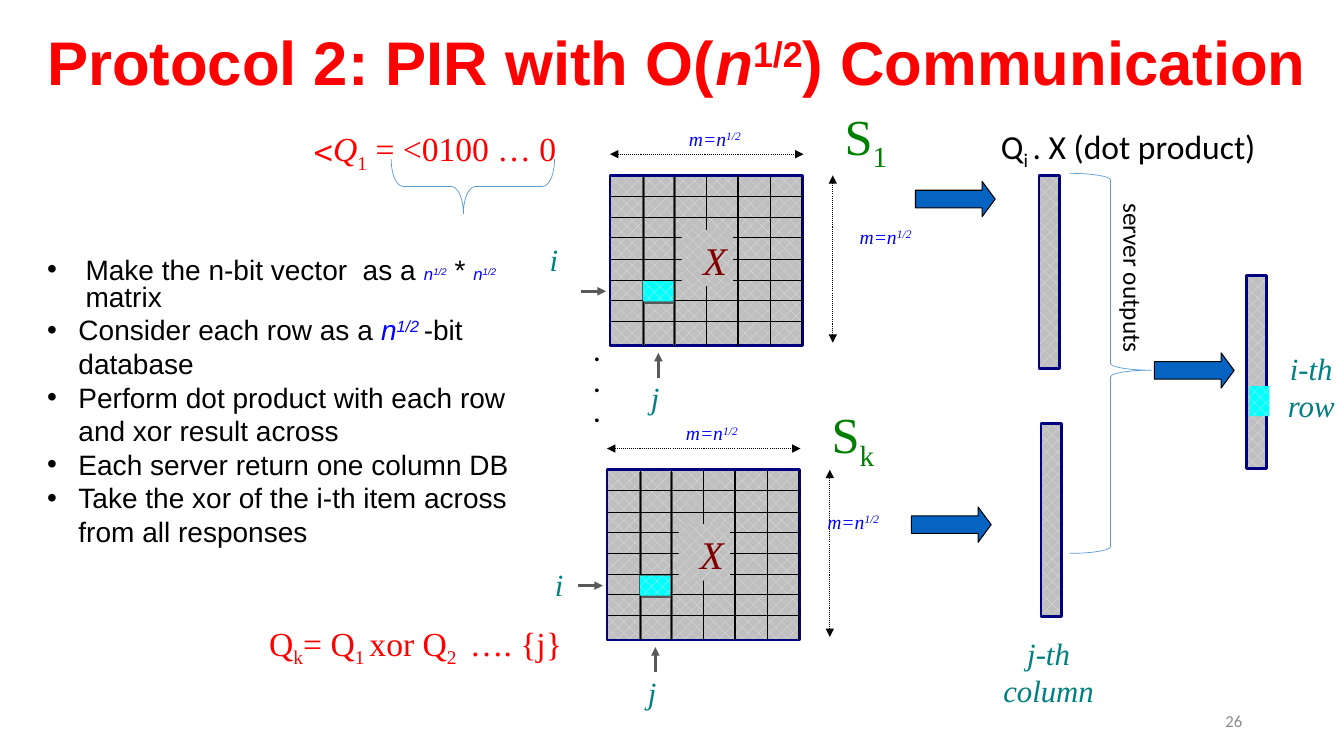
"""Build the slide on two-server PIR with square-root communication."""
import lxml.etree
import pptx
import pptx.dml.color
import pptx.enum.dml
import pptx.enum.shapes
import pptx.enum.text
import pptx.oxml.ns
import pptx.util

EMU_PER_PX = 9144
SHAPE = pptx.enum.shapes.MSO_SHAPE
ALIGN = {"l": pptx.enum.text.PP_ALIGN.LEFT, "c": pptx.enum.text.PP_ALIGN.CENTER,
         "r": pptx.enum.text.PP_ALIGN.RIGHT}
RED, GREEN, TEAL, MAROON, BLUE = "FF0000", "008000", "008080", "800000", "0000FF"
BLACK, NAVY, GREY, CYAN = "000000", "000080", "BFBFBF", "00FFFF"
SUP, SUB = {"base": 30}, {"base": -25}
SERIF = {"name": "Times New Roman", "inset": 6, "rtl": True}
INDEX = {**SERIF, "size": 22, "color": TEAL, "italic": True}
QUERY = {**SERIF, "size": 24, "color": RED}
SIDE = {**SERIF, "size": 14, "color": BLUE, "italic": True}
SERVER = {**SERIF, "size": 36, "color": GREEN, "align": "r"}

TITLE = ["Protocol 2: PIR with O(", ("n", {"italic": True}),
         ("1/2", {"italic": True, **SUP}), ") Communication"]
TITLE[2] = ("1/2", SUP)
ROOT = {"color": BLUE, "italic": True}
SMALL_ROOT = {**ROOT, "size": 12}
STEPS = [
    ["Make the n-bit vector  as a ", ("n", SMALL_ROOT), ("1/2", {**SMALL_ROOT, **SUP}), " * ",
     ("n", SMALL_ROOT), ("1/2", {**SMALL_ROOT, **SUP}), " matrix"],
    ["Consider each row as a ", ("n", ROOT), ("1/2 ", {**ROOT, **SUP}), "-bit database"],
    ["Perform dot product with each row and xor result across"],
    ["Each server return one column DB"],
    ["Take the xor of the i-th item across from all responses"],
]
SIDE_LENGTH = ["m=n", ("1/2", SUP)]
SERVERS = [
    {"name": "1", "offset": (0, 0), "name_at": (747, 98), "side_at": (819, 217),
     "row_at": (528, 233)},
    {"name": "k", "offset": (-3, 292), "name_at": (734, 394), "side_at": (787, 500),
     "row_at": (533, 555)},
]
FIRST_QUERY = [("Q", {"italic": True}), ("1", SUB), " = <0100 … 0>"]
LAST_QUERY = ["Q", ("k", SUB), "= Q", ("1 ", SUB), "xor Q", ("2 ", SUB), " …. {j}"]
DOT_PRODUCT = ["Q", ("i ", SUB), ". X (dot product)"]
OUTPUT_COLUMNS = [(945, 260), (947, 506), (1151, 359)]
FLOW_ARROWS = [(908, 180), (904, 503), (1145, 350)]

deck = pptx.Presentation()
deck.slide_width, deck.slide_height = (pptx.util.Emu(n * EMU_PER_PX) for n in (1333, 750))
slide = deck.slides.add_slide(deck.slide_layouts[6])


def px(*lengths):
    """Turn px lengths into EMU."""
    return [pptx.util.Emu(n * EMU_PER_PX) for n in lengths]


def rgb(color):
    """Turn a hex string into a colour."""
    return pptx.dml.color.RGBColor.from_string(color)


def sub(parent, tag, **attributes):
    """Append a DrawingML child element."""
    return lxml.etree.SubElement(parent, pptx.oxml.ns.qn(tag), **attributes)


def write(shape, paragraphs, name="Arial", size=20, color=BLACK, bold=False, italic=False,
          align="l", rtl=False, inset=None, wrap=True, grow=False, middle=False,
          spacing=None, indents=None):
    """Fill a shape with paragraphs of formatted runs."""
    frame = shape.text_frame
    frame.word_wrap = wrap
    anchor = pptx.enum.text.MSO_ANCHOR
    frame.vertical_anchor = anchor.MIDDLE if middle else anchor.TOP
    if grow:
        frame.auto_size = pptx.enum.text.MSO_AUTO_SIZE.SHAPE_TO_FIT_TEXT
    if inset is not None:
        (frame.margin_left, frame.margin_top,
         frame.margin_right, frame.margin_bottom) = px(*[inset] * 4)
    for number, runs in enumerate(paragraphs):
        paragraph = frame.add_paragraph() if number else frame.paragraphs[0]
        paragraph.alignment = ALIGN[align]
        if spacing and number == 0:
            paragraph.line_spacing = spacing
        properties = paragraph._p.get_or_add_pPr()
        if rtl:
            properties.set("rtl", "1")
        if indents:
            indent = indents[number] * EMU_PER_PX
            properties.set("marL", str(indent))
            properties.set("indent", str(-indent))
            sub(properties, "a:buFont", typeface="Arial")
            sub(properties, "a:buChar", char="•")
        for part in runs:
            words, changes = (part, {}) if isinstance(part, str) else part
            run = paragraph.add_run()
            run.text = words
            run.font.name = name
            run.font.size = pptx.util.Pt(changes.get("size", size))
            run.font.color.rgb = rgb(changes.get("color", color))
            run.font.bold = bold
            run.font.italic = changes.get("italic", italic)
            if "base" in changes:
                run._r.get_or_add_rPr().set("baseline", str(changes["base"] * 1000))


def text(box, *paragraphs, parent=slide, rotation=0, **style):
    """Add a text box."""
    label = parent.shapes.add_textbox(*px(*box))
    label.rotation = rotation
    write(label, paragraphs, **style)


def block(kind, box, fill=None, hatch=None, line=None, width=2, adjust=(), rotation=0,
          parent=slide):
    """Add a preset shape with a plain or hatched fill."""
    shape = parent.shapes.add_shape(kind, *px(*box))
    shape.shadow.inherit = False
    shape.rotation = rotation
    for number, value in enumerate(adjust):
        shape.adjustments[number] = value
    if hatch:
        shape.fill.patterned()
        shape.fill.pattern = pptx.enum.dml.MSO_PATTERN.PERCENT_25
        shape.fill.fore_color.rgb = rgb("E5E5E5")
        shape.fill.back_color.rgb = rgb(hatch)
    elif fill:
        shape.fill.solid()
        shape.fill.fore_color.rgb = rgb(fill)
    else:
        shape.fill.background()
    if line:
        shape.line.color.rgb = rgb(line)
        shape.line.width = pptx.util.Pt(width)
    else:
        shape.line.fill.background()
    return shape


def rule(ends, parent, color=BLACK, width=0.75, dotted=False, heads=()):
    """Add a straight line with optional arrowheads."""
    line = parent.shapes.add_connector(pptx.enum.shapes.MSO_CONNECTOR.STRAIGHT, *px(*ends))
    line.line.color.rgb = rgb(color)
    line.line.width = pptx.util.Pt(width)
    if dotted:
        line.line.dash_style = pptx.enum.dml.MSO_LINE.ROUND_DOT
    properties = line._element.spPr
    for end in heads:
        sub(properties.find(pptx.oxml.ns.qn("a:ln")), end, type="triangle")
    sub(properties, "a:effectLst")


def server_panel(server):
    """Draw one server's database matrix with its labels."""
    dx, dy = server["offset"]
    panel = slide.shapes.add_group_shape()

    def at(x, y, *size):
        return (x + dx, y + dy, *size)

    def stroke(x1, y1, x2, y2, **style):
        rule(at(x1, y1) + at(x2, y2), panel, **style)

    block(SHAPE.RECTANGLE, at(605, 174, 191, 169), hatch=GREY, line=NAVY, parent=panel)
    dark = {"color": "595959", "width": 2}
    for x in (638, 669):
        stroke(x, 176, x, 342, **dark)
    for y in (279, 300):
        stroke(638, y, 669, y, **dark)
    for row in range(7):
        y = round(195 + row * 20.7)
        stroke(606, y, 797, y)
    for column in range(6):
        x = round(638 + column * 31.4)
        stroke(x, 175, x, 343)
    matrix = block(SHAPE.RECTANGLE, at(676, 228, 51, 56), hatch=GREY, parent=panel)
    write(matrix, [["X"]], **SERIF, size=28, color=MAROON, italic=True, align="r")
    block(SHAPE.RECTANGLE, at(638, 279, 30, 20), hatch=CYAN, parent=panel)
    both = ("a:headEnd", "a:tailEnd")
    stroke(605, 153, 797, 153, dotted=True, heads=both)
    stroke(826, 174, 826, 340, dotted=True, heads=both)
    stroke(653, 375, 653, 350, heads=both[1:], **dark)
    stroke(576, 289, 601, 289, heads=both[1:], **dark)
    text(at(617, 370, 43, 43), ["j"], parent=panel, align="r", **INDEX)
    text(at(661, 120, 96, 33), SIDE_LENGTH, parent=panel, align="c", **SIDE)
    text((*server["side_at"], 91, 33), SIDE_LENGTH, parent=panel, align="r", **SIDE)
    text((*server["name_at"], 139, 65), ["S", (server["name"], SUB)], parent=panel, **SERVER)
    text((*server["row_at"], 43, 43), ["i"], align="c", **INDEX)


text((37, -7, 1285, 145), TITLE, size=44, color=RED, bold=True, middle=True, spacing=0.9)
text((37, 252, 513, 300), *STEPS, grow=True, spacing=0.8, indents=[38, 31, 31, 31, 31])
for server in SERVERS:
    server_panel(server)
text((579, 329, 65, 101), *[["."]] * 3, name="Calibri", size=18, bold=True, grow=True)

text((305, 121, 306, 48), FIRST_QUERY, **QUERY)
block(SHAPE.LEFT_BRACE, (442, 104, 54, 162), line="5B9BD5", width=0.5,
      adjust=(0.221, 0.442), rotation=270)
text((261, 612, 329, 48), LAST_QUERY, **QUERY)

for corner in FLOW_ARROWS:
    block(SHAPE.RIGHT_ARROW, (*corner, 79, 35), fill="0563C1", line=BLACK, width=0.75,
          adjust=(0.5, 0.37))
for corner in OUTPUT_COLUMNS:
    block(SHAPE.RECTANGLE, (*corner, 191, 20), hatch=GREY, line=NAVY, rotation=90)
block(SHAPE.RECTANGLE, (1234, 388, 30, 20), hatch=CYAN, rotation=90)
text((1039, 257, 170, 40), ["server outputs"], name="Calibri", size=18, rotation=90,
     wrap=False, grow=True)
block(SHAPE.RIGHT_BRACE, (1061, 172, 81, 377), line="5B9BD5", width=0.5, adjust=(0.083, 0.518))
text((983, 120, 276, 50), DOT_PRODUCT, name="Calibri", size=24, wrap=False, grow=True)
text((985, 624, 110, 79), ["j-th column"], align="c", **INDEX)
text((1260, 341, 81, 79), ["i-th row"], align="c", **INDEX)
text((942, 695, 300, 40), ["26"], name="Calibri", size=12, color="8C8C8C", align="r", middle=True)

deck.save("out.pptx")
